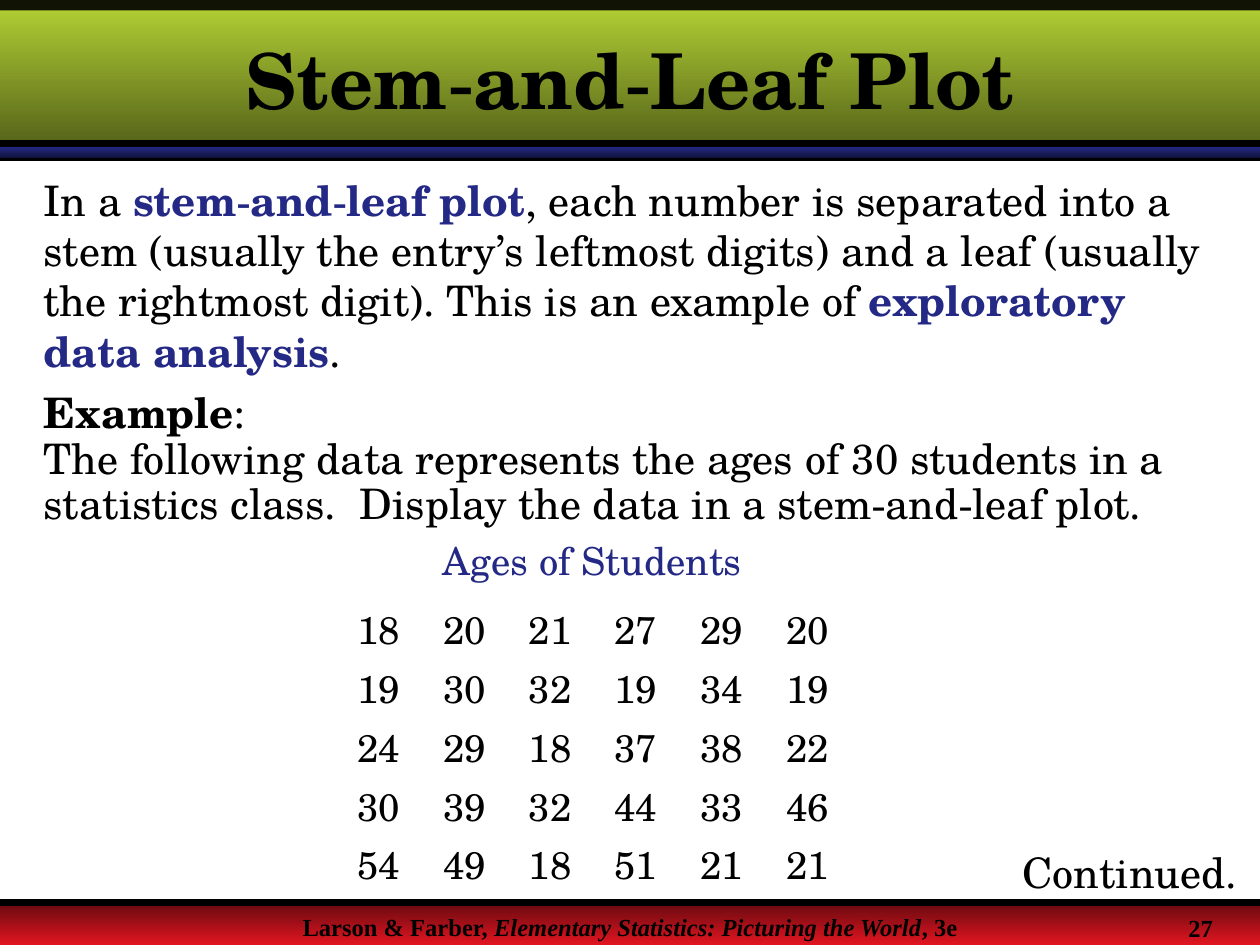
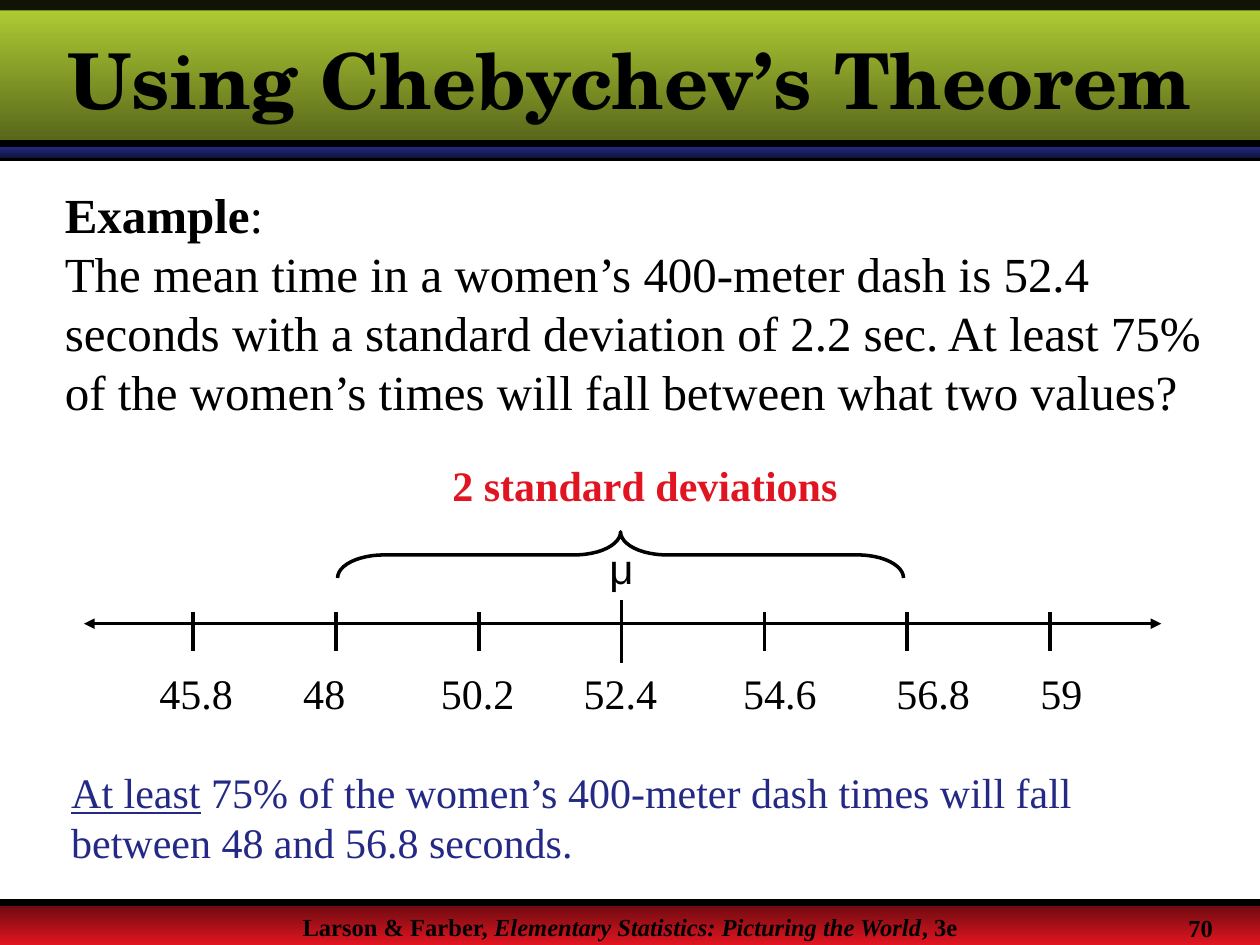
from lxml.etree import SubElement
from pptx import Presentation
from pptx.dml.color import RGBColor
from pptx.enum.shapes import MSO_CONNECTOR as CONN, MSO_SHAPE as SHAPE
from pptx.enum.text import MSO_ANCHOR as ANCHOR, PP_ALIGN as ALIGN
from pptx.oxml.ns import qn
from pptx.util import Inches, Pt

COLORS = {
    "ink": "000000",
    "navy": "242985",
    "navy_dark": "11133E",
    "green": "B5D335",
    "green_dark": "546219",
    "red": "E11521",
    "red_dark": "680A0F",
}
SERIF, ROMAN, SANS = "TeX Gyre Schola", "Times New Roman", "Arial"
COLS, ROWS = 120, 90  # the slide grid, twelve units to the inch


def rgb(name):
    return RGBColor.from_string(COLORS[name])


class Deck:
    def __init__(self):
        self.prs = Presentation()
        self.prs.slide_width, self.prs.slide_height = Inches(10), Inches(7.5)
        self.s = None

    def grid(self, *units):
        """Turn grid columns or rows into slide lengths."""
        cell = self.prs.slide_width / COLS
        return [round(u * cell) for u in units]

    def new_slide(self, title, number):
        self.s = self.prs.slides.add_slide(self.prs.slide_layouts[6])
        # Bands and rules
        self.band(86, 4, "red_dark", "red")
        self.line(0, 15, COLS, 15, width=4)
        self.text((0, 86.28, COLS, 2.4),
                  [[("Larson & Farber, ", "b"),
                    ("Elementary Statistics: Picturing the World", "bi"),
                    (", 3e", "b")]], size=14, align=ALIGN.CENTER)
        self.band(14, 1, "navy", "navy_dark")
        self.band(0, 14, "green", "green_dark")
        self.line(0, 86, COLS, 86, width=4)
        self.band(0, 1, "ink", alpha=90)
        self.line(0, 13.7, COLS, 13.7, width=4)
        # Page number and title
        self.text((112, 86.4, 7, 3), [[(number, "b")]], size=14)
        self.text((0, 1, COLS, 13), [[(title, "b")]], size=44, font=SERIF,
                  align=ALIGN.CENTER, anchor=ANCHOR.MIDDLE)

    def band(self, top, height, color, end_color=None, alpha=None):
        sp = self.s.shapes.add_shape(SHAPE.RECTANGLE, *self.grid(0, top, COLS, height))
        sp.shadow.inherit = False
        sp.line.fill.background()
        if end_color:
            sp.fill.gradient()
            sp.fill.gradient_angle = 270
            for stop, name in zip(sp.fill.gradient_stops, (color, end_color)):
                stop.color.rgb = rgb(name)
        else:
            sp.fill.solid()
            sp.fill.fore_color.rgb = rgb(color)
        if alpha:
            clr = sp._element.spPr.find(qn("a:solidFill"))[0]
            SubElement(clr, qn("a:alpha"), val=str(alpha * 1000))

    def line(self, x1, y1, x2, y2, width=2, arrows=False):
        sp = self.s.shapes.add_connector(CONN.STRAIGHT, *self.grid(x1, y1, x2, y2))
        sp.line.width = Pt(width)
        sp.line.color.rgb = rgb("ink")
        if arrows:
            for end in ("a:headEnd", "a:tailEnd"):
                SubElement(sp.line._get_or_add_ln(), qn(end), type="triangle")
        SubElement(sp._element.spPr, qn("a:effectLst"))

    def brace(self, left, top, width, height):
        """A brace that opens downwards."""
        sp = self.s.shapes.add_shape(SHAPE.LEFT_BRACE,
                                     *self.grid(left, top, width, height))
        sp.rotation = 90
        sp.adjustments[0] = 1
        sp.shadow.inherit = False
        sp.fill.background()
        sp.line.color.rgb = rgb("ink")
        sp.line.width = Pt(2)

    def text(self, box, paragraphs, size=24, font=ROMAN, color="ink", wrap=True,
             align=ALIGN.LEFT, anchor=ANCHOR.TOP, spacing=None):
        tf = self.s.shapes.add_textbox(*self.grid(*box)).text_frame
        tf.word_wrap = wrap
        tf.vertical_anchor = anchor
        for i, runs in enumerate(paragraphs):
            p = tf.paragraphs[0] if i == 0 else tf.add_paragraph()
            p.alignment = align
            if spacing:
                p.line_spacing = spacing
            for words, marks in runs:
                self.runs(p, words, marks, size, font, color)

    def runs(self, p, words, marks, size, font, color):
        """Add words; marks are b, i, u and n (navy). Hyphens are in Times."""
        pieces = words.replace("-", "\n-\n").split("\n") if font == SERIF else [words]
        for piece in pieces:
            r = p.add_run()
            r.text = piece
            f = r.font
            f.size = Pt(size)
            f.name = ROMAN if piece == "-" else font
            f.bold, f.italic, f.underline = (m in marks for m in "biu")
            f.color.rgb = rgb("navy" if "n" in marks else color)

    def table(self, left, top, width, height, rows):
        frame = self.s.shapes.add_table(len(rows), len(rows[0]),
                                        *self.grid(left, top, width, height))
        tbl = frame.table
        tbl.first_row = tbl.horz_banding = False
        for i, row in enumerate(rows):
            for j, value in enumerate(row):
                cell = tbl.cell(i, j)
                cell.fill.background()
                cell.margin_top, cell.margin_bottom = Inches(0.07), Inches(0.03)
                p = cell.text_frame.paragraphs[0]
                p.text = str(value)
                p.alignment = ALIGN.CENTER
                p.font.size, p.font.name = Pt(22), SERIF
                p.font.color.rgb = rgb("ink")


def stem_and_leaf(deck):
    deck.new_slide("Stem-and-Leaf Plot", "27")
    # Definition and example
    deck.text((3, 16, 113, 20.4), [[
        ("In a ", ""), ("stem-and-leaf plot", "bn"),
        (", each number is separated into a stem (usually the entry’s leftmost "
         "digits) and a leaf (usually the rightmost digit). This is an example of ", ""),
        ("exploratory data analysis", "bn"), (".", "")]], font=SERIF)
    deck.text((3, 36.8, 110, 14.2), [
        [("Example", "b"), (":", "")],
        [("The following data represents the ages of 30 students in a statistics "
          "class.  Display the data in a stem-and-leaf plot.", "")],
    ], font=SERIF, spacing=0.9)
    # Data
    deck.text((37.4, 50.6, 38, 5.6), [[("Ages of Students", "")]], size=22,
              font=SERIF, color="navy", align=ALIGN.CENTER)
    deck.text((92, 80, 27, 6), [[("Continued.", "")]], font=SERIF, align=ALIGN.RIGHT)
    deck.table(32, 56.4, 49, 28, [
        [18, 20, 21, 27, 29, 20],
        [19, 30, 32, 19, 34, 19],
        [24, 29, 18, 37, 38, 22],
        [30, 39, 32, 44, 33, 46],
        [54, 49, 18, 51, 21, 21],
    ])


def chebychev(deck):
    deck.new_slide("Using Chebychev’s Theorem", "70")
    deck.text((5, 17, 112, 23.6), [
        [("Example", "b"), (":", "")],
        [("The mean time in a women’s 400-meter dash is 52.4 seconds with a standard "
          "deviation of 2.2 sec. At least 75% of the women’s times will fall between "
          "what two values?", "")],
    ], size=28)
    # Number line, with a longer tick at the mean
    deck.line(8, 59.4, 110.6, 59.4, arrows=True)
    labels = {"45.8": 14, "48": 27.7, "50.2": 40.8, "52.4": 54.4,
              "54.6": 69.6, "56.8": 84.2, "59": 97.9}
    for i, (label, left) in enumerate(labels.items()):
        x = 18.4 + 13.6 * i
        top, bottom = (57.1, 63.1) if label == "52.4" else (58.3, 62)
        deck.line(x, top, x, bottom)
        width = 9.4 if "." in label else 6.4
        deck.text((left, 63, width, 6), [[(label, "")]], wrap=False)
    # Two deviations either side of the mean
    deck.brace(56.9, 25.9, 4.4, 53.9)
    deck.text((41.9, 43.2, 40, 6), [[("2 standard deviations", "b")]],
              color="red", wrap=False)
    # Conclusion
    deck.text((5.6, 72.4, 106, 10.8), [[
        ("At least", "u"),
        (" 75% of the women’s 400-meter dash times will fall between 48 and "
         "56.8 seconds.", "")]], color="navy")
    deck.text((55.1, 51.1, 8.2, 6), [[("μ", "")]], font=SANS, align=ALIGN.CENTER)


def main():
    deck = Deck()
    stem_and_leaf(deck)
    chebychev(deck)
    deck.prs.save("out.pptx")


if __name__ == "__main__":
    main()
